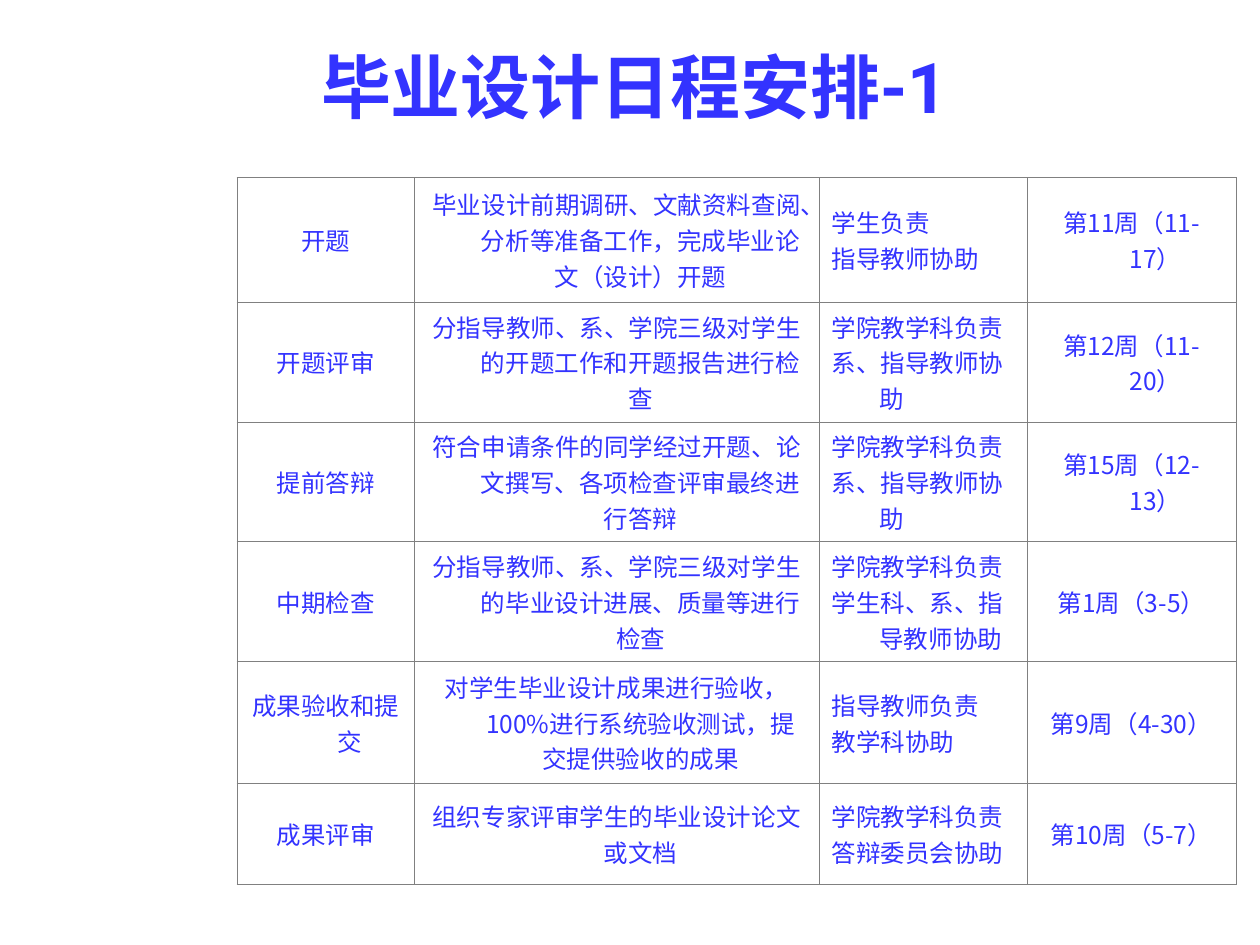
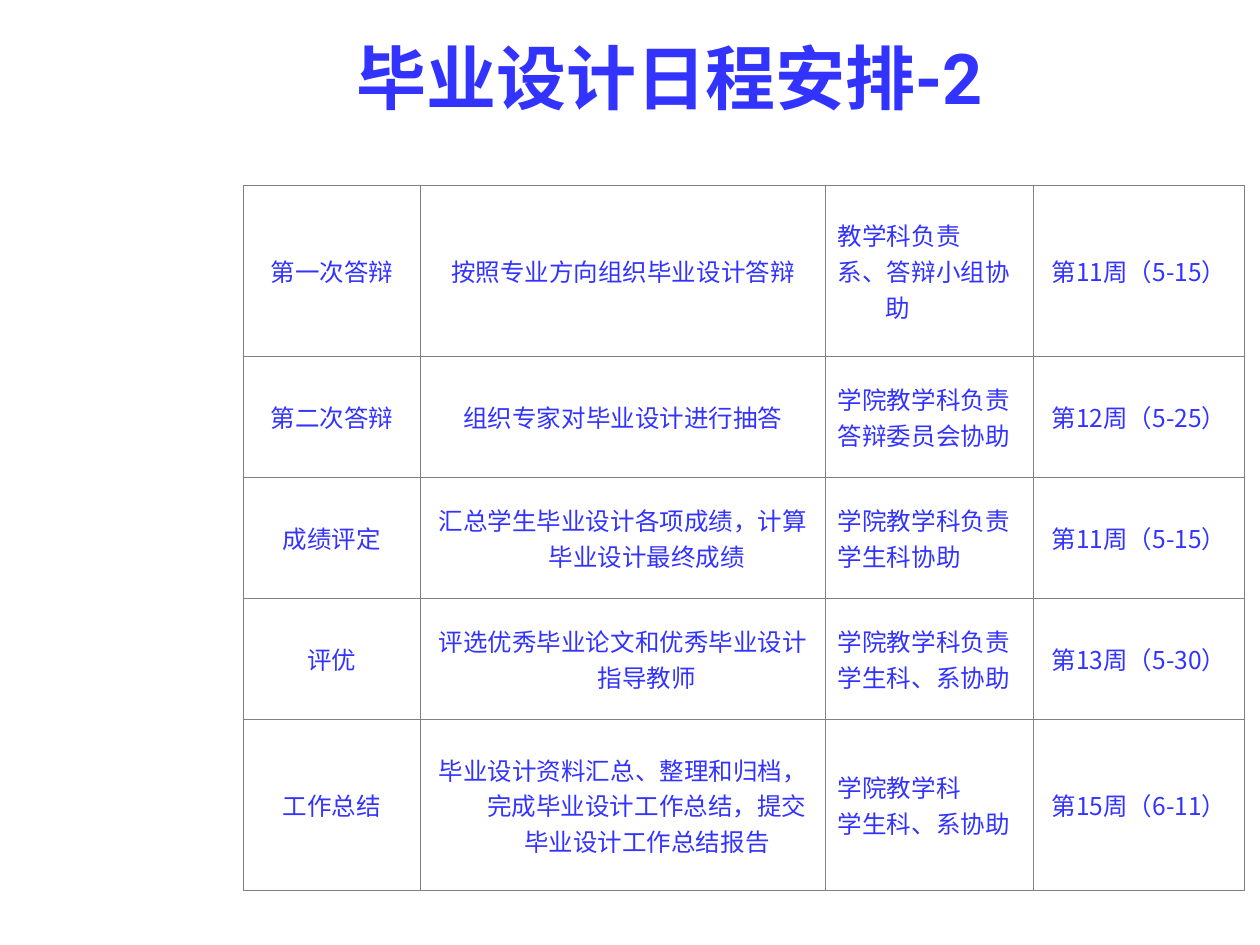
from dataclasses import dataclass

from lxml.etree import SubElement
from pptx import Presentation
from pptx.dml.color import RGBColor
from pptx.enum.text import MSO_ANCHOR, PP_ALIGN
from pptx.oxml import parse_xml
from pptx.oxml.ns import nsdecls, qn
from pptx.util import Inches, Pt

BLUE = "3333FF"
GRAY = "808080"
TITLE_FONT = "Roboto"
BODY_FONT = "Noto Sans CJK SC"
BORDER_WIDTH = Pt(0.45)
HANGING = Inches(0.38)
DUTY_COLUMN = 2


@dataclass
class Box:
    left: float
    top: float
    width: float
    height: float

    def inches(self) -> list:
        return [Inches(v) for v in (self.left, self.top, self.width, self.height)]


@dataclass
class Stage:
    name: str
    task: str
    duty: str
    week: str
    height: float

    def texts(self) -> list[str]:
        return [self.name, self.task, self.duty, self.week]


@dataclass
class Schedule:
    title: str
    title_box: Box
    left: float
    top: float
    widths: list[float]
    stages: list[Stage]


SCHEDULES = [
    Schedule(
        "毕业设计日程安排-1", Box(0.9, 0.36, 8.27, 0.63),
        1.88, 1.41, [1.41, 3.21, 1.65, 1.66],
        [
            Stage("开题", "毕业设计前期调研、文献资料查阅、分析等准备工作，完成毕业论文（设计）开题",
                  "学生负责\n指导教师协助", "第11周（11-17）", 0.99),
            Stage("开题评审", "分指导教师、系、学院三级对学生的开题工作和开题报告进行检查",
                  "学院教学科负责\n系、指导教师协助", "第12周（11-20）", 0.95),
            Stage("提前答辩", "符合申请条件的同学经过开题、论文撰写、各项检查评审最终进行答辩",
                  "学院教学科负责\n系、指导教师协助", "第15周（12-13）", 0.95),
            Stage("中期检查", "分指导教师、系、学院三级对学生的毕业设计进展、质量等进行检查",
                  "学院教学科负责\n学生科、系、指导教师协助", "第1周（3-5）", 0.95),
            Stage("成果验收和提交", "对学生毕业设计成果进行验收，100%进行系统验收测试，提交提供验收的成果",
                  "指导教师负责\n教学科协助", "第9周（4-30）", 0.97),
            Stage("成果评审", "组织专家评审学生的毕业设计论文或文档",
                  "学院教学科负责\n答辩委员会协助", "第10周（5-7）", 0.8),
        ],
    ),
    Schedule(
        "毕业设计日程安排-2", Box(1.14, 0.21, 8.35, 0.79),
        1.93, 1.47, [1.41, 3.21, 1.65, 1.68],
        [
            Stage("第一次答辩", "按照专业方向组织毕业设计答辩",
                  "教学科负责\n系、答辩小组协助", "第11周（5-15）", 1.36),
            Stage("第二次答辩", "组织专家对毕业设计进行抽答",
                  "学院教学科负责\n答辩委员会协助", "第12周（5-25）", 0.96),
            Stage("成绩评定", "汇总学生毕业设计各项成绩，计算毕业设计最终成绩",
                  "学院教学科负责\n学生科协助", "第11周（5-15）", 0.96),
            Stage("评优", "评选优秀毕业论文和优秀毕业设计指导教师",
                  "学院教学科负责\n学生科、系协助", "第13周（5-30）", 0.96),
            Stage("工作总结", "毕业设计资料汇总、整理和归档，完成毕业设计工作总结，提交毕业设计工作总结报告",
                  "学院教学科\n学生科、系协助", "第15周（6-11）", 1.36),
        ],
    ),
]


def rgb(color: str) -> RGBColor:
    return RGBColor.from_string(color)


def style_paragraph(p, size: float, font: str, align, bold: bool = False) -> None:
    p.alignment = align
    p.font.size = Pt(size)
    p.font.bold = bold
    p.font.color.rgb = rgb(BLUE)
    p.font.name = font
    props = p._p.pPr.find(qn("a:defRPr"))
    SubElement(props, qn("a:ea")).set("typeface", BODY_FONT)


def add_title(s, text: str, box: Box) -> None:
    tf = s.shapes.add_textbox(*box.inches()).text_frame
    tf.word_wrap = True
    tf.vertical_anchor = MSO_ANCHOR.MIDDLE
    p = tf.paragraphs[0]
    p.text = text
    style_paragraph(p, 40, TITLE_FONT, PP_ALIGN.CENTER, bold=True)


def set_borders(cell) -> None:
    props = cell._tc.get_or_add_tcPr()
    for i, side in enumerate(("lnL", "lnR", "lnT", "lnB")):
        props.insert(i, parse_xml(
            f'<a:{side} {nsdecls("a")} w="{BORDER_WIDTH}"><a:solidFill>'
            f'<a:srgbClr val="{GRAY}"/></a:solidFill></a:{side}>'))


def fill_cell(cell, text: str, align) -> None:
    cell.text = text
    cell.vertical_anchor = MSO_ANCHOR.MIDDLE
    cell.fill.background()
    set_borders(cell)
    for p in cell.text_frame.paragraphs:
        style_paragraph(p, 14, BODY_FONT, align)
        p._p.pPr.set("marL", str(HANGING))
        p._p.pPr.set("indent", str(-HANGING))


def add_schedule_table(s, schedule: Schedule) -> None:
    stages, widths = schedule.stages, schedule.widths
    box = Box(schedule.left, schedule.top, sum(widths), sum(st.height for st in stages))
    table = s.shapes.add_table(len(stages), len(widths), *box.inches()).table
    table.first_row = False
    table.horz_banding = False
    for column, width in zip(table.columns, widths):
        column.width = Inches(width)
    for row, stage in zip(table.rows, stages):
        row.height = Inches(stage.height)
        for i, (cell, text) in enumerate(zip(row.cells, stage.texts())):
            fill_cell(cell, text, PP_ALIGN.LEFT if i == DUTY_COLUMN else PP_ALIGN.CENTER)


def main() -> None:
    prs = Presentation()
    prs.slide_width, prs.slide_height = Inches(10), Inches(7.5)
    for schedule in SCHEDULES:
        s = prs.slides.add_slide(prs.slide_layouts[6])
        add_title(s, schedule.title, schedule.title_box)
        add_schedule_table(s, schedule)
    prs.save("out.pptx")


if __name__ == "__main__":
    main()
